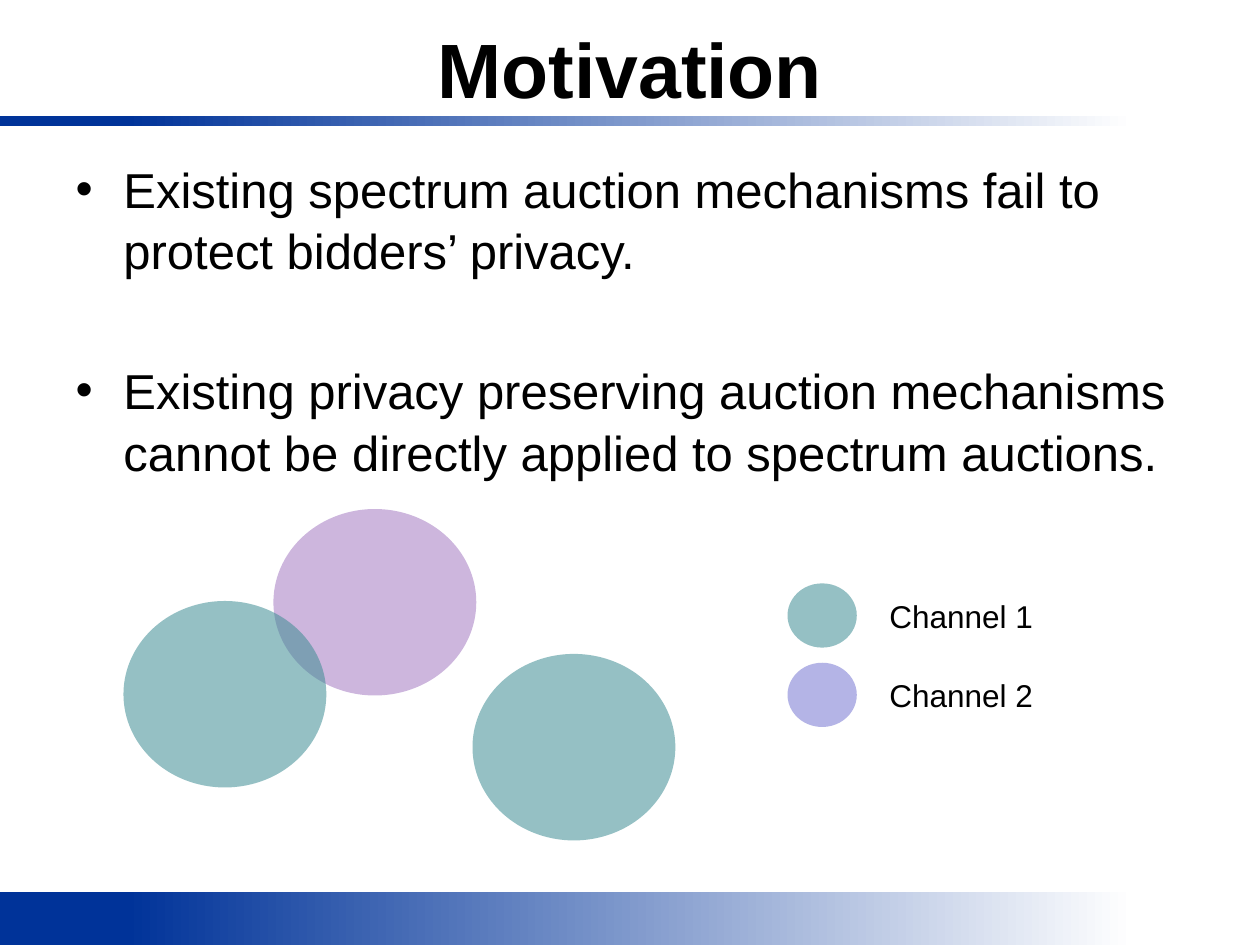
from lxml import etree
from pptx import Presentation
from pptx.dml.color import RGBColor
from pptx.enum.shapes import MSO_SHAPE
from pptx.enum.text import MSO_ANCHOR, PP_ALIGN
from pptx.oxml.ns import qn
from pptx.util import Inches, Pt

FONT = "Arial"
BLACK = RGBColor(0x00, 0x00, 0x00)
WHITE = RGBColor(0xFF, 0xFF, 0xFF)
NAVY = RGBColor(0x00, 0x33, 0x99)
TEAL = RGBColor(0x3C, 0x8C, 0x93)
PURPLE = RGBColor(0x70, 0x30, 0xA0)
LILAC = RGBColor(0x75, 0x75, 0xD1)

prs = Presentation()
prs.slide_width, prs.slide_height = Inches(10), Inches(7.5)
s = prs.slides.add_slide(prs.slide_layouts[1])
title, body = s.placeholders


def add_plain(kind, left, top, width, height):
    sp = s.shapes.add_shape(kind, Inches(left), Inches(top), Inches(width), Inches(height))
    sp.shadow.inherit = False
    sp.line.fill.background()
    return sp


def add_text(p, text, size, bold=False):
    r = p.add_run()
    r.text = text
    r.font.name, r.font.size, r.font.bold = FONT, Pt(size), bold
    r.font.color.rgb = BLACK


# Gradient bars under the title and along the foot
for top, height in [(0.92, 0.08), (7.08, 0.42)]:
    bar = add_plain(MSO_SHAPE.RECTANGLE, 0, top, 10, height)
    bar.fill.gradient()
    bar.fill.gradient_angle = 0
    for stop, position, color in zip(bar.fill.gradient_stops, (0.1, 0.9), (NAVY, WHITE)):
        stop.position, stop.color.rgb = position, color

# Title
title.left, title.top, title.width, title.height = 0, 0, Inches(10), Inches(1.08)
tf = title.text_frame
tf.vertical_anchor = MSO_ANCHOR.MIDDLE
tf.paragraphs[0].alignment = PP_ALIGN.CENTER
add_text(tf.paragraphs[0], "Motivation", 44, bold=True)

# Bullets
body.left, body.top = Inches(0.5), Inches(1.19)
body.width, body.height = Inches(9.38), Inches(5.81)
tf = body.text_frame
bullets = [
    "Existing spectrum auction mechanisms fail to protect bidders’ privacy.",
    "Existing privacy preserving auction mechanisms cannot be directly applied to spectrum auctions.",
]
for i, text in enumerate(bullets):
    p = tf.add_paragraph() if i else tf.paragraphs[0]
    pPr = p._p.get_or_add_pPr()
    pPr.set("marL", str(Inches(0.38)))
    pPr.set("indent", str(-Inches(0.38)))
    etree.SubElement(pPr, qn("a:buChar")).set("char", "•")
    p.line_spacing = 1.05
    p.space_before = Pt(44.5 if i else 0)
    add_text(p, text, 28)

# Interference discs, then the legend keys
BIG, SMALL = (1.61, 1.48), (0.55, 0.51)
discs = [
    (2.17, 4.04, BIG, PURPLE, 35),
    (0.98, 4.77, BIG, TEAL, 54),
    (3.75, 5.19, BIG, TEAL, 54),
    (6.25, 4.63, SMALL, TEAL, 54),
    (6.25, 5.26, SMALL, LILAC, 54),
]
for left, top, size, color, opacity in discs:
    disc = add_plain(MSO_SHAPE.OVAL, left, top, *size)
    disc.fill.solid()
    disc.fill.fore_color.rgb = color
    srgb = disc._element.spPr.find(".//" + qn("a:srgbClr"))
    etree.SubElement(srgb, qn("a:alpha")).set("val", str(opacity * 1000))

# Legend labels
for label, top in [("Channel 1", 4.69), ("Channel 2", 5.32)]:
    box = s.shapes.add_textbox(Inches(6.96), Inches(top), Inches(1.65), Inches(0.4))
    box.text_frame.word_wrap = True
    add_text(box.text_frame.paragraphs[0], label, 18)

prs.save("out.pptx")
